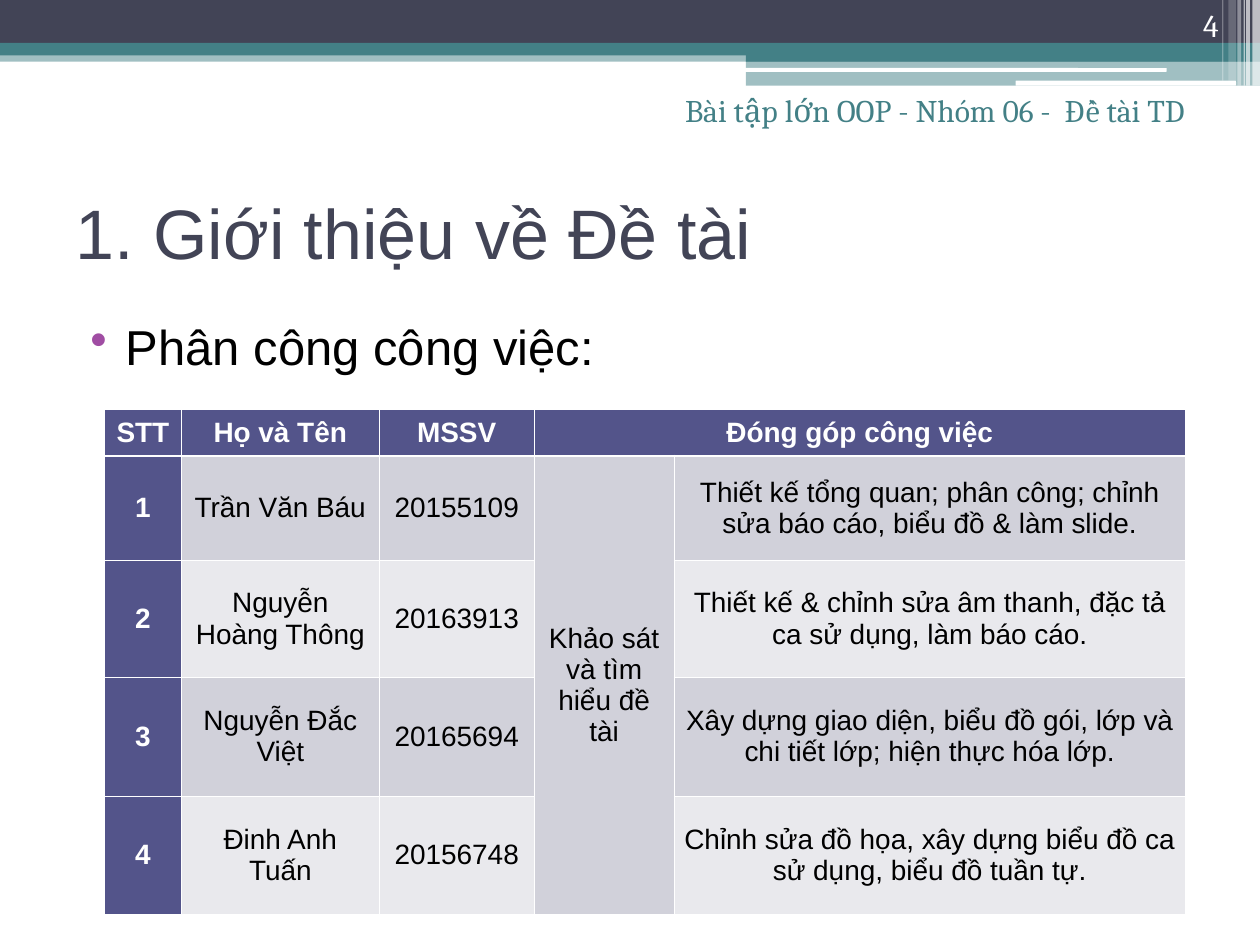
import pptx
import pptx.util
import pptx.dml.color
import pptx.enum.shapes
import pptx.enum.text
import pptx.oxml
import pptx.oxml.ns
import lxml.etree

Inches = pptx.util.Inches
Pt = pptx.util.Pt
PP_ALIGN = pptx.enum.text.PP_ALIGN
ANCHOR = pptx.enum.text.MSO_ANCHOR
qn = pptx.oxml.ns.qn


def color(hex_value):
    return pptx.dml.color.RGBColor.from_string(hex_value)


def write(tf, text, size, font, hex_value, align, anchor):
    tf.word_wrap = True
    tf.vertical_anchor = anchor
    p = tf.paragraphs[0]
    p.text = text
    p.alignment = align
    p.font.size = Pt(size)
    p.font.name = font
    p.font.color.rgb = color(hex_value)
    return p


prs = pptx.Presentation()
prs.slide_width = Inches(10)
prs.slide_height = Inches(7.5)
s = prs.slides.add_slide(prs.slide_layouts[5])

bands = [
    (0, 0.4, 10, 0.09, "438086", 50),
    (0, 0, 10, 0.34, "424456", 100),
    (0, 0.34, 10, 0.1, "438086", 100),
    (5.92, 0.39, 4.08, 0.1, "438086", 100),
    (5.92, 0.48, 4.08, 0.2, "438086", 50),
    (5.91, 0.54, 3.35, 0.03, "FFFFFF", 100),
    (8.06, 0.64, 1.75, 0.04, "FFFFFF", 100),
    (9.94, 0, 0.06, 0.68, "FFFFFF", 65),
    (9.89, 0, 0.03, 0.68, "FFFFFF", 65),
    (9.87, 0, 0.01, 0.68, "FFFFFF", 60),
    (9.82, 0, 0.03, 0.68, "FFFFFF", 40),
    (9.75, 0, 0.06, 0.64, "FFFFFF", 20),
    (9.7, 0, 0.01, 0.64, "FFFFFF", 30),
]
SHAPE = pptx.enum.shapes.MSO_SHAPE
for x, y, w, h, fill, alpha in bands:
    rounded = fill == "FFFFFF" and w > 1
    kind = SHAPE.ROUNDED_RECTANGLE if rounded else SHAPE.RECTANGLE
    sp = s.shapes.add_shape(kind, Inches(x), Inches(y), Inches(w), Inches(h))
    sp.shadow.inherit = False
    sp.line.fill.background()
    sp.fill.solid()
    sp.fill.fore_color.rgb = color(fill)
    if alpha < 100:
        clr = sp._element.spPr.find(".//" + qn("a:srgbClr"))
        lxml.etree.SubElement(clr, qn("a:alpha"), val=str(alpha * 1000))

title = s.shapes.title
title.left, title.top = Inches(0.5), Inches(1.25)
title.width, title.height = Inches(9), Inches(1.17)
write(title.text_frame, "1. Giới thiệu về Đề tài", 40, "Arial", "424456",
      PP_ALIGN.LEFT, ANCHOR.MIDDLE)

texts = [
    ((0.5, 2.46, 9, 4.73), "Phân công công việc:", 28, "Arial", "000000",
     PP_ALIGN.LEFT, ANCHOR.TOP),
    ((8.94, 0, 0.83, 0.4), "4", 18, "Cambria", "FFFFFF",
     PP_ALIGN.RIGHT, ANCHOR.BOTTOM),
    ((0.5, 0.67, 9, 0.5), "Bài tập lớn OOP - Nhóm 06 -  Đề tài TD", 18,
     "Cambria", "438086", PP_ALIGN.RIGHT, ANCHOR.TOP),
]
for box, *style in texts:
    sp = s.shapes.add_textbox(*map(Inches, box))
    p = write(sp.text_frame, *style)
    if style[0].startswith("Phân"):
        p.space_before = Pt(3)
        pPr = p._p.get_or_add_pPr()
        pPr.set("marL", str(Inches(0.4)))
        pPr.set("indent", str(Inches(-0.28)))
        bu_clr = pptx.oxml.parse_xml(
            f'<a:buClr {pptx.oxml.ns.nsdecls("a")}><a:srgbClr val="A04DA3"/></a:buClr>')
        bu_char = pptx.oxml.parse_xml(
            f'<a:buChar {pptx.oxml.ns.nsdecls("a")} char="•"/>')
        pPr.find(qn("a:spcBef")).addnext(bu_clr)
        bu_clr.addnext(bu_char)

rows = [
    ("STT", "Họ và Tên", "MSSV", "Đóng góp công việc", ""),
    ("1", "Trần Văn Báu", "20155109", "Khảo sát và tìm hiểu đề tài",
     "Thiết kế tổng quan; phân công; chỉnh sửa báo cáo, biểu đồ & làm slide."),
    ("2", "Nguyễn Hoàng Thông", "20163913", "",
     "Thiết kế & chỉnh sửa âm thanh, đặc tả ca sử dụng, làm báo cáo."),
    ("3", "Nguyễn Đắc Việt", "20165694", "",
     "Xây dựng giao diện, biểu đồ gói, lớp và chi tiết lớp; hiện thực hóa lớp."),
    ("4", "Đinh Anh Tuấn", "20156748", "",
     "Chỉnh sửa đồ họa, xây dựng biểu đồ ca sử dụng, biểu đồ tuần tự."),
]
table = s.shapes.add_table(5, 5, Inches(0.83), Inches(3.25),
                           Inches(8.58), Inches(3.95)).table
for col, w in zip(table.columns, (0.61, 1.57, 1.23, 1.11, 4.06)):
    col.width = Inches(w)
for row, h in zip(table.rows, (0.31, 0.83, 0.93, 0.94, 0.94)):
    row.height = Inches(h)
table.cell(0, 3).merge(table.cell(0, 4))
table.cell(1, 3).merge(table.cell(4, 3))

for i, row in enumerate(rows):
    for j, text in enumerate(row):
        cell = table.cell(i, j)
        head = i == 0 or j == 0
        fill = "53548A" if head else "D1D1DA" if i % 2 or j == 3 else "E9E9ED"
        cell.fill.solid()
        cell.fill.fore_color.rgb = color(fill)
        cell.margin_left = cell.margin_right = Inches(0.06)
        cell.margin_top = cell.margin_bottom = Inches(0.05)
        cell.vertical_anchor = ANCHOR.MIDDLE
        tcPr = cell._tc.get_or_add_tcPr()
        for k, side in enumerate("LRTB"):
            thick = (i, side) in ((0, "B"), (1, "T"))
            ln = pptx.oxml.parse_xml(
                f'<a:ln{side} {pptx.oxml.ns.nsdecls("a")} w="{Pt(1.47 if thick else 0.45)}">'
                '<a:solidFill><a:srgbClr val="FFFFFF"/></a:solidFill>'
                f'</a:ln{side}>')
            tcPr.insert(k, ln)
        if not cell.is_spanned:
            p = write(cell.text_frame, text, 16, "Arial",
                      "FFFFFF" if head else "000000", PP_ALIGN.CENTER, ANCHOR.MIDDLE)
            p.font.bold = head

prs.save("out.pptx")
